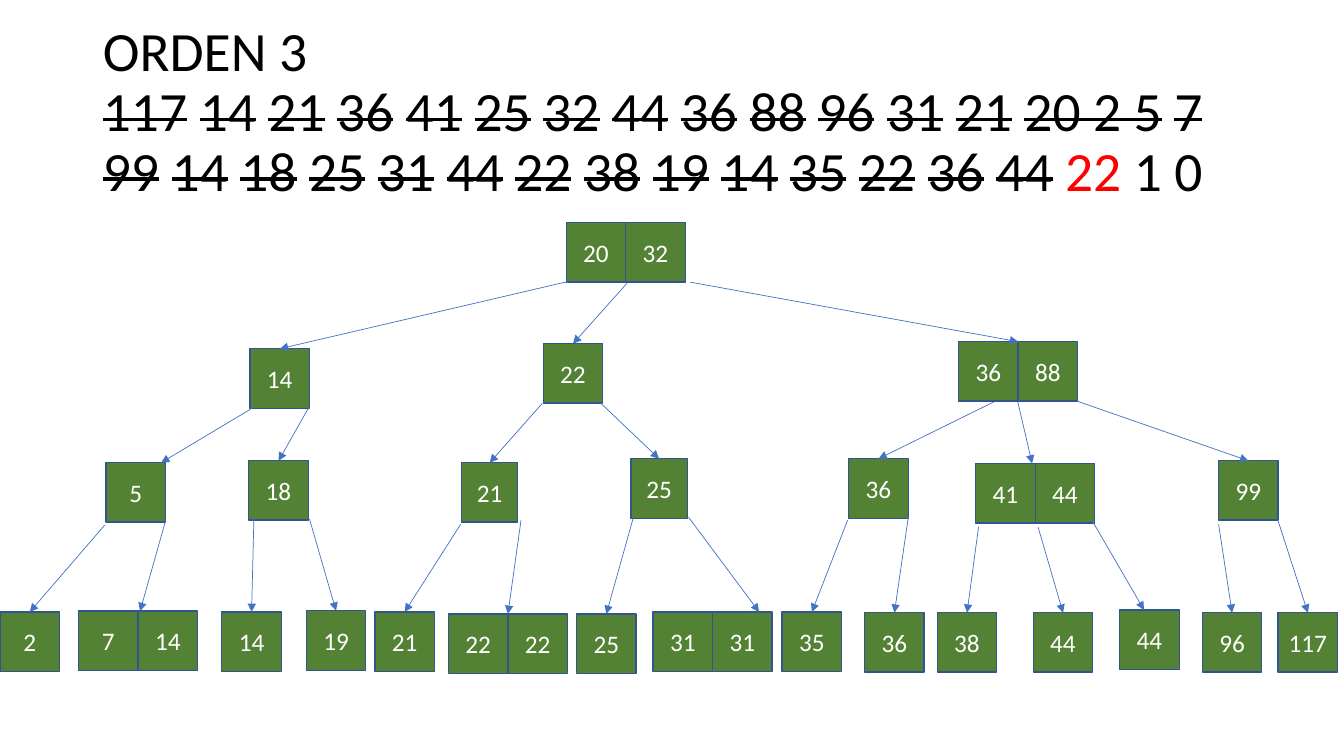
from lxml.etree import SubElement
from pptx import Presentation
from pptx.dml.color import RGBColor
from pptx.enum.shapes import MSO_CONNECTOR, MSO_SHAPE
from pptx.enum.text import MSO_ANCHOR, MSO_AUTO_SIZE, PP_ALIGN
from pptx.oxml.ns import qn
from pptx.util import Cm, Pt


def color(value):
    return RGBColor.from_string(value)


def style_span(span, size, value):
    span.font.name = "Calibri"
    span.font.size = Pt(size)
    span.font.color.rgb = color(value)


deck = Presentation()
deck.slide_width, deck.slide_height = Cm(33.87), Cm(19.05)
page = deck.slides.add_slide(deck.slide_layouts[5])

# Title: inserted keys are struck through, the current one is red
title = page.shapes.title
title.left, title.top, title.width, title.height = Cm(2.34), Cm(1.02), Cm(29.21), Cm(3.68)
frame = title.text_frame
frame.word_wrap = True
frame.auto_size = MSO_AUTO_SIZE.NONE
frame.vertical_anchor = MSO_ANCHOR.MIDDLE
para = frame.paragraphs[0]
para.alignment = PP_ALIGN.LEFT
para.line_spacing = 0.9

heading = para.add_run()
heading.text = "ORDEN 3 "
style_span(heading, 39.6, "000000")
para.add_line_break()

inserted = "117 14 21 36 41 25 32 44 36 88 96 31 21".split() + ["20 2 5"]
inserted += "7 99 14 18 25 31 44 22 38 19 14 35 22 36 44".split()
title_parts = []
for key in inserted:
    title_parts += [(key, True, "000000"), (" ", False, "000000")]
title_parts += [("22", False, "FF0000"), (" 1 0", False, "000000")]
for text, struck, value in title_parts:
    span = para.add_run()
    span.text = text
    style_span(span, 39.6, value)
    if struck:
        span.font._element.set("strike", "sngStrike")

# Tree nodes in cm: left, top, key width, keys, arrow start, arrow end shift from centre
nodes = [
    (14.27, 5.61, 1.5, "20 32", None, 0),
    # Second level
    (6.3, 8.79, 1.5, "14", (14.33, 7.09), 0),
    (13.69, 8.66, 1.5, "22", (15.8, 7.14), 0),
    (24.16, 8.61, 1.5, "36 88", (17.4, 7.11), 0),
    # Third level
    (2.67, 11.66, 1.5, "5", (6.35, 10.29), 0.64),
    (6.27, 11.61, 1.5, "18", (7.77, 10.29), 0),
    (11.63, 11.66, 1.42, "21", (13.67, 10.16), 0),
    (15.9, 11.56, 1.42, "25", (15.14, 10.16), 0),
    (21.39, 11.56, 1.5, "36", (25.04, 10.13), 0),
    (24.59, 11.68, 1.5, "41 44", (25.65, 10.13), -0.08),
    (30.71, 11.61, 1.5, "99", (27.15, 10.11), 0),
    # Leaves
    (0, 15.42, 1.5, "2", (2.64, 13.23), 0),
    (1.98, 15.4, 1.5, "7 14", (4.17, 13.13), 0.05),
    (5.59, 15.42, 1.5, "14", (6.4, 13), 0),
    (7.72, 15.39, 1.5, "19", (7.8, 13.08), 0),
    (9.45, 15.42, 1.5, "21", (11.61, 13.21), 0),
    (11.3, 15.47, 1.5, "22 22", (13.13, 13.11), 0),
    (14.53, 15.47, 1.5, "25", (15.95, 13.08), 0),
    (16.46, 15.42, 1.5, "31 31", (17.35, 13.03), 1.17),
    (19.71, 15.42, 1.5, "35", (21.36, 13.11), 0),
    (21.79, 15.44, 1.5, "36", (22.89, 13.03), 0),
    (23.62, 15.44, 1.5, "38", (24.66, 13.28), 0),
    (26.04, 15.44, 1.5, "44", (26.16, 13.28), 0),
    (28.22, 15.37, 1.5, "44", (27.53, 13.13), -0.14),
    (30.3, 15.44, 1.5, "96", (30.71, 13.21), 0),
    (32.21, 15.44, 1.5, "117", (32.21, 13.13), 0),
]

for left, top, width, keys, start, shift in nodes:
    keys = keys.split()

    # One square per key
    for index, key in enumerate(keys):
        box = page.shapes.add_shape(
            MSO_SHAPE.RECTANGLE, Cm(left + index * width), Cm(top), Cm(width), Cm(1.5))
        box.shadow.inherit = False
        box.fill.solid()
        box.fill.fore_color.rgb = color("548235")
        box.line.color.rgb = color("325491")
        box.line.width = Pt(1)
        frame = box.text_frame
        frame.text = key
        frame.margin_left = frame.margin_right = 0
        frame.vertical_anchor = MSO_ANCHOR.MIDDLE
        frame.paragraphs[0].alignment = PP_ALIGN.CENTER
        style_span(frame.paragraphs[0].runs[0], 18, "FFFFFF")

    # Arrow from the parent
    if start:
        center = left + len(keys) * width / 2
        arrow = page.shapes.add_connector(
            MSO_CONNECTOR.STRAIGHT, Cm(start[0]), Cm(start[1]), Cm(center + shift), Cm(top))
        arrow.line.color.rgb = color("4472C4")
        arrow.line.width = Pt(0.5)
        SubElement(arrow.line._get_or_add_ln(), qn("a:tailEnd"), type="triangle")
        SubElement(arrow._element.spPr, qn("a:effectLst"))

deck.save("out.pptx")
